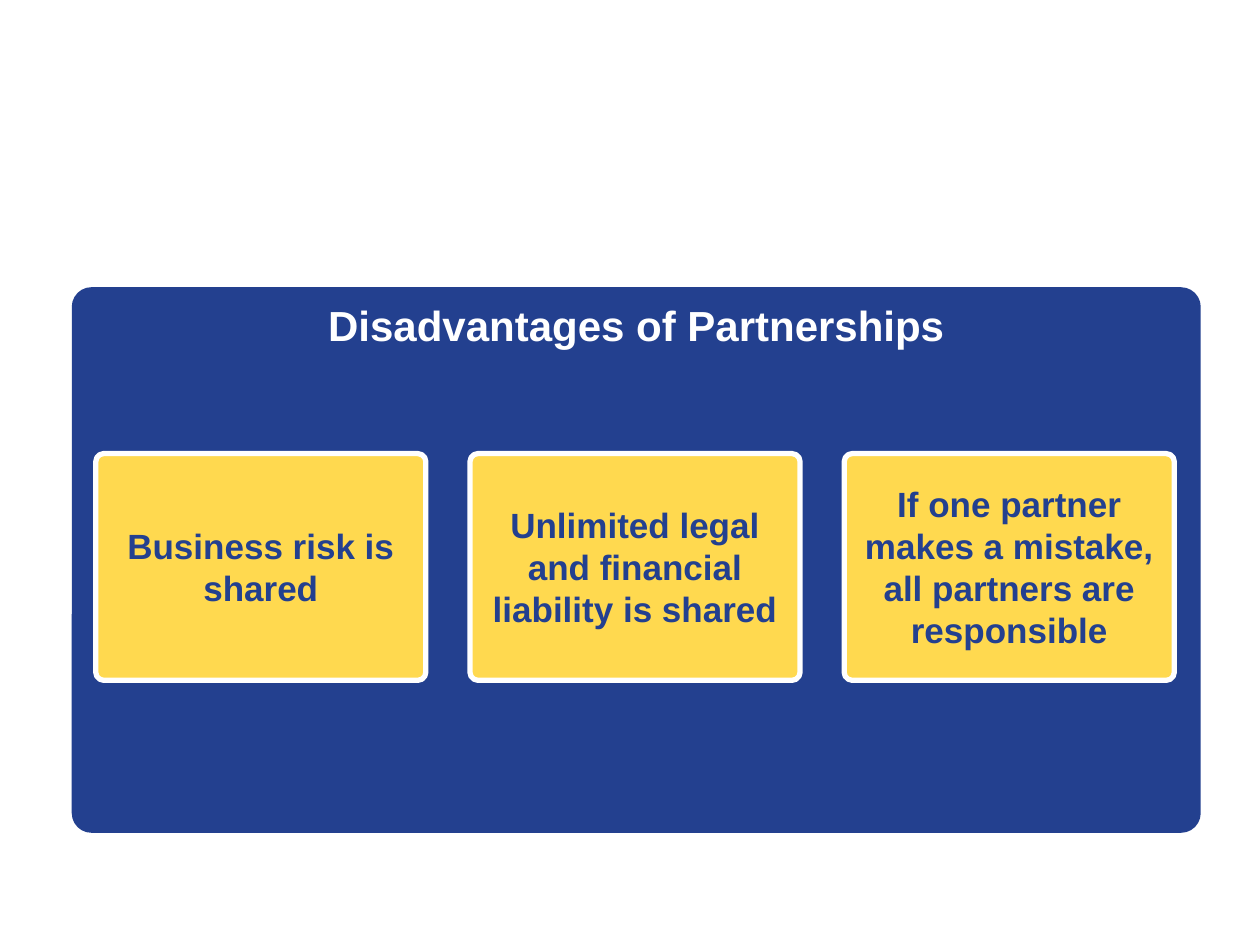
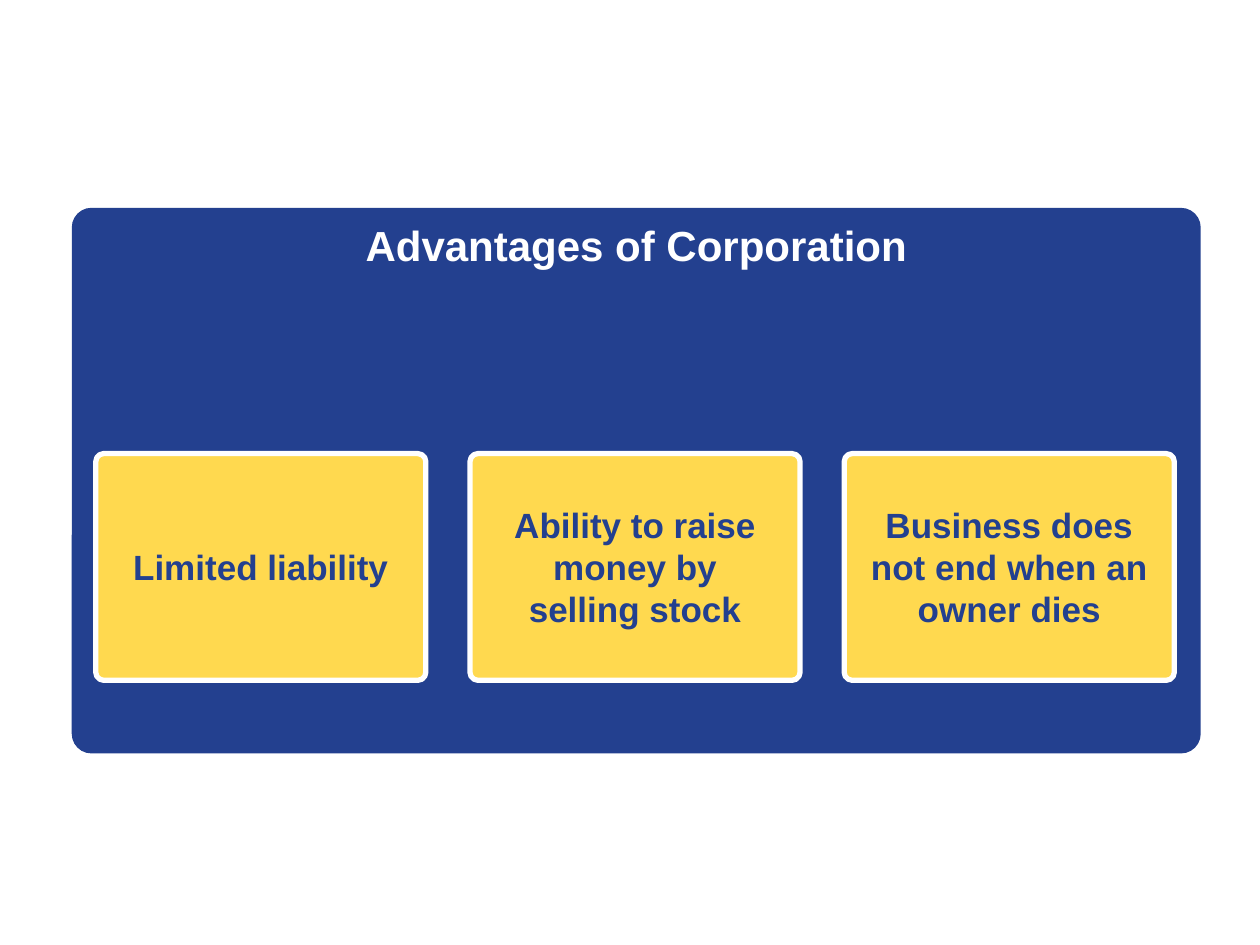
"""Build two slides that list business pros and cons as cards on a panel."""
from dataclasses import dataclass

from pptx import Presentation
from pptx.dml.color import RGBColor
from pptx.enum import shapes, text
from pptx.util import Inches, Pt

BLUE = RGBColor(0x23, 0x40, 0x8F)
YELLOW = RGBColor(0xFF, 0xD9, 0x4F)
WHITE = RGBColor(0xFF, 0xFF, 0xFF)
FONT = "Arial"
CORNER = 0.036

PANEL_LEFT, PANEL_WIDTH, PANEL_HEIGHT = Inches(0.57), Inches(8.96), Inches(4.33)
CARD_LEFT, CARD_TOP = Inches(0.76), Inches(3.6)
CARD_WIDTH, CARD_HEIGHT = Inches(2.62), Inches(1.8)
CARD_STEP = Inches(2.97)


@dataclass(frozen=True)
class BoxStyle:
    """Look of a rounded box and its text."""
    fill: RGBColor
    color: RGBColor
    size: int
    anchor: text.MSO_ANCHOR
    wrap: bool
    outline: RGBColor | None = None


@dataclass(frozen=True)
class PanelSlide:
    """Heading, panel top and card texts of one slide."""
    heading: str
    top: Inches
    cards: tuple[str, ...]


PANEL = BoxStyle(BLUE, WHITE, 24, text.MSO_ANCHOR.TOP, False)
CARD = BoxStyle(YELLOW, BLUE, 20, text.MSO_ANCHOR.MIDDLE, True, WHITE)

SLIDES = (
    PanelSlide("Disadvantages of Partnerships", Inches(2.28), (
        "Business risk is shared",
        "Unlimited legal and financial liability is shared",
        "If one partner makes a mistake, all partners are responsible",
    )),
    PanelSlide("Advantages of Corporation", Inches(1.65), (
        "Limited liability",
        "Ability to raise\nmoney by\nselling stock",
        "Business does\nnot end when an\nowner dies",
    )),
)


def add_box(s, left: int, top: int, width: int, height: int,
            label: str, style: BoxStyle) -> None:
    """Draw one rounded box with centred bold text."""
    sp = s.shapes.add_shape(shapes.MSO_SHAPE.ROUNDED_RECTANGLE, left, top, width, height)
    sp.adjustments[0] = CORNER
    sp.shadow.inherit = False
    sp.fill.solid()
    sp.fill.fore_color.rgb = style.fill
    if style.outline is None:
        sp.line.fill.background()
    else:
        sp.line.color.rgb = style.outline
        sp.line.width = Pt(3)
    tf = sp.text_frame
    tf.word_wrap = style.wrap
    tf.vertical_anchor = style.anchor
    p = tf.paragraphs[0]
    p.text = label
    p.alignment = text.PP_ALIGN.CENTER
    for r in p.runs:
        r.font.name = FONT
        r.font.size = Pt(style.size)
        r.font.bold = True
        r.font.color.rgb = style.color


def add_panel_slide(prs, content: PanelSlide) -> None:
    """Add a slide with a panel and its row of cards."""
    s = prs.slides.add_slide(prs.slide_layouts.get_by_name("Blank"))
    add_box(s, PANEL_LEFT, content.top, PANEL_WIDTH, PANEL_HEIGHT, content.heading, PANEL)
    for i, label in enumerate(content.cards):
        add_box(s, CARD_LEFT + i * CARD_STEP, CARD_TOP, CARD_WIDTH, CARD_HEIGHT, label, CARD)


def main() -> None:
    """Build and save the presentation."""
    prs = Presentation()
    prs.slide_width, prs.slide_height = Inches(10), Inches(7.5)
    for content in SLIDES:
        add_panel_slide(prs, content)
    prs.save("out.pptx")


if __name__ == "__main__":
    main()
